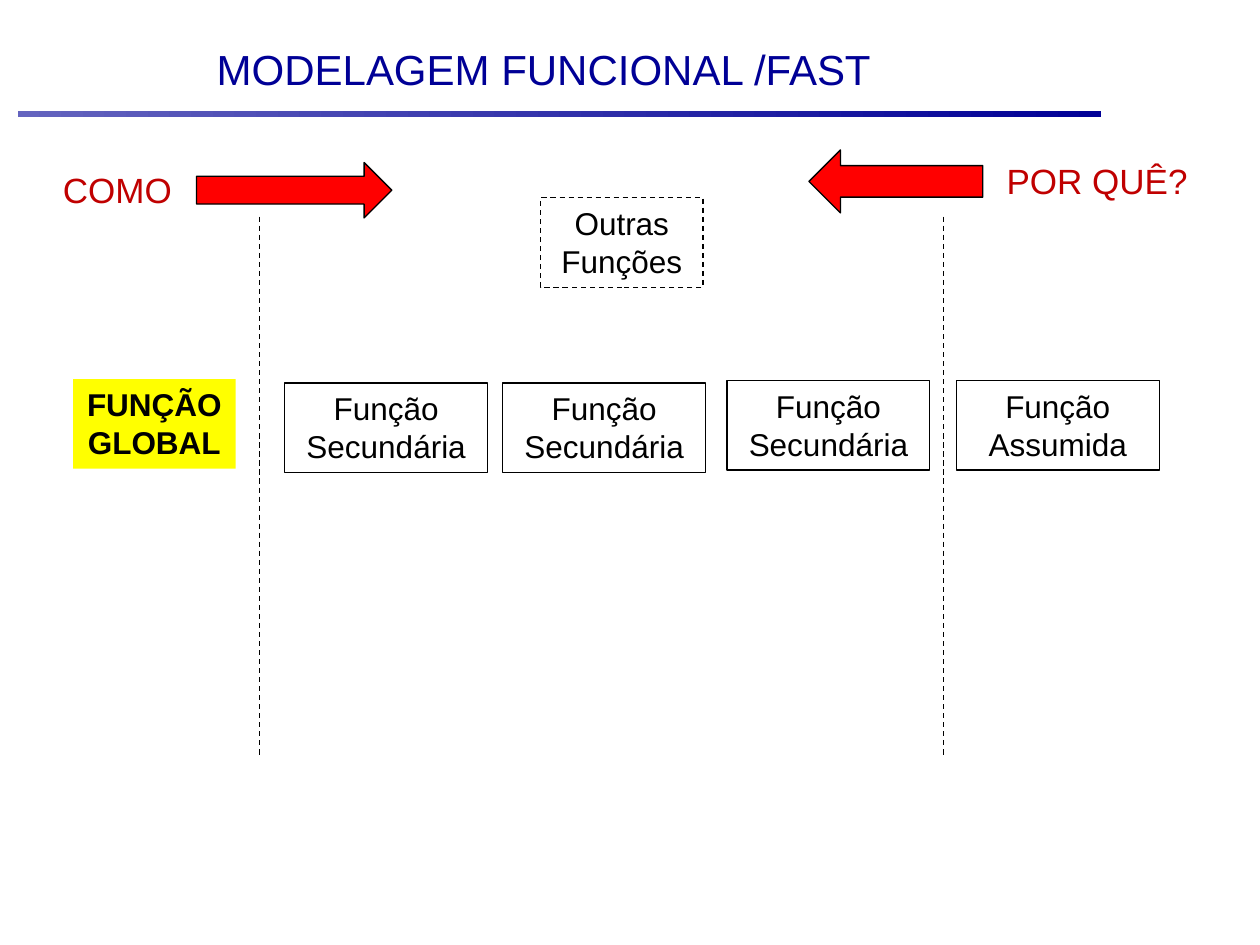
from lxml import etree
from pptx import Presentation
from pptx.dml.color import RGBColor
from pptx.enum import dml, shapes, text
from pptx.oxml.ns import qn
from pptx.util import Inches, Pt

THEME = {
    "font": "Arial", "title": 24, "label": 20, "body": 18, "line": 0.75,
    "navy": "000096", "lavender": "6464BF", "black": "000000",
    "yellow": "FFFF00", "red": "FF0000", "dark_red": "C00000",
}

TITLE = "MODELAGEM FUNCIONAL /FAST"
BOX_HEIGHT = 0.71
# text, left, top, width, format
FUNCTIONS = [
    ("FUNÇÃO GLOBAL", 0.58, 3.01, 1.29, {"fill": "yellow", "line": None, "bold": True}),
    ("Outras Funções", 4.29, 1.57, 1.29, {"dashed": True}),
    ("Função Secundária", 2.26, 3.04, 1.61, {}),
    ("Função Secundária", 3.99, 3.04, 1.61, {}),
    ("Função Secundária", 5.77, 3.02, 1.61, {}),
    ("Função\nAssumida", 7.59, 3.02, 1.61, {}),
]
QUESTIONS = [("COMO", 0.4, 1.29, 1.47, 0.44), ("POR QUÊ?", 7.89, 1.22, 1.8, 0.44)]
ARROWS = [
    (shapes.MSO_SHAPE.LEFT_ARROW, 6.42, 1.19, 1.38, 0.5),
    (shapes.MSO_SHAPE.RIGHT_ARROW, 1.56, 1.29, 1.55, 0.44),
]
SCOPE_LINES = [2.06, 7.49]
SCOPE_TOP, SCOPE_BOTTOM = 1.72, 6.01


def color(name):
    return RGBColor.from_string(THEME[name])


def write(holder, content, size="body", ink="black", bold=False,
          align=text.PP_ALIGN.LEFT, anchor=text.MSO_ANCHOR.TOP):
    frame = holder.text_frame
    frame.word_wrap = True
    frame.auto_size = text.MSO_AUTO_SIZE.NONE
    frame.vertical_anchor = anchor
    frame.text = content
    for paragraph in frame.paragraphs:
        paragraph.alignment = align
        font = paragraph.font
        font.name, font.size, font.bold = THEME["font"], Pt(THEME[size]), bold
        font.color.rgb = color(ink)


def outline(line, dashed=False):
    line.color.rgb = color("black")
    line.width = Pt(THEME["line"])
    if dashed:
        line.dash_style = dml.MSO_LINE.DASH


def add_figure(slide, preset, place, fill=None, line="black", dashed=False):
    figure = slide.shapes.add_shape(preset, *map(Inches, place))
    figure.shadow.inherit = False
    if fill:
        figure.fill.solid()
        figure.fill.fore_color.rgb = color(fill)
    else:
        figure.fill.background()
    if line:
        outline(figure.line, dashed)
    else:
        figure.line.fill.background()
    return figure


def add_header(slide):
    rule = add_figure(slide, shapes.MSO_SHAPE.RECTANGLE, (0.14, 0.88, 8.6, 0.05), line=None)
    rule.fill.gradient()
    rule.fill.gradient_angle = 0
    for stop, name in zip(rule.fill.gradient_stops, ("lavender", "navy")):
        stop.color.rgb = color(name)
    title = slide.shapes.title
    title.left, title.top, title.width, title.height = map(Inches, (1.62, 0.16, 8.08, 0.77))
    write(title, TITLE, size="title", ink="navy", anchor=text.MSO_ANCHOR.MIDDLE)


def add_scope_line(slide, x):
    scope = slide.shapes.add_connector(
        shapes.MSO_CONNECTOR.STRAIGHT, *map(Inches, (x, SCOPE_TOP, x, SCOPE_BOTTOM)))
    outline(scope.line, dashed=True)
    etree.SubElement(scope.line._get_or_add_ln().getparent(), qn("a:effectLst"))


def main():
    deck = Presentation()
    deck.slide_width, deck.slide_height = Inches(10), Inches(7.5)
    slide = deck.slides.add_slide(deck.slide_layouts.get_by_name("Title Only"))
    add_header(slide)
    for content, left, top, width, style in FUNCTIONS:
        look = dict(style)
        bold = look.pop("bold", False)
        box = add_figure(slide, shapes.MSO_SHAPE.RECTANGLE,
                         (left, top, width, BOX_HEIGHT), **look)
        write(box, content, bold=bold, align=text.PP_ALIGN.CENTER)
    for x in SCOPE_LINES:
        add_scope_line(slide, x)
    for content, *place in QUESTIONS:
        question = slide.shapes.add_textbox(*map(Inches, place))
        write(question, content, size="label", ink="dark_red")
    for preset, *place in ARROWS:
        add_figure(slide, preset, place, fill="red")
    deck.save("out.pptx")


if __name__ == "__main__":
    main()
